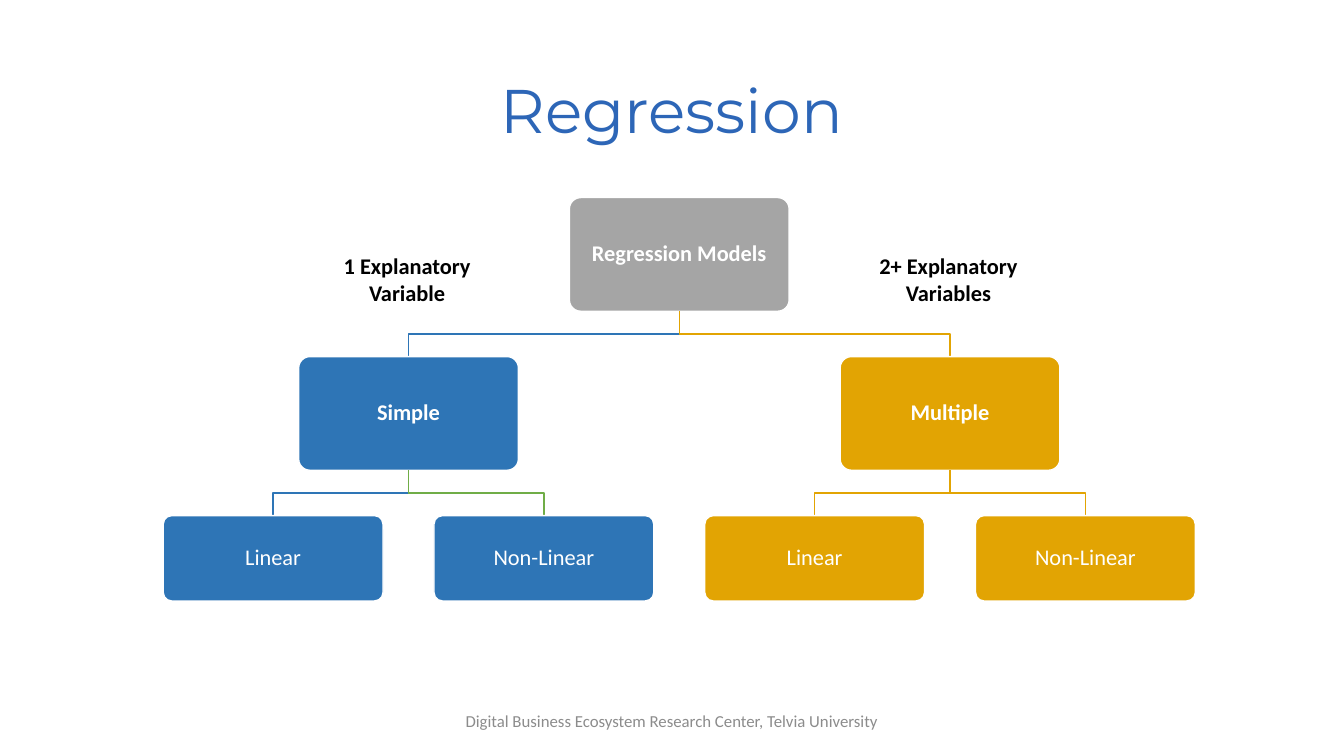
import pptx
import pptx.dml.color
import pptx.enum.shapes
import pptx.enum.text
import pptx.util

Pt = pptx.util.Pt
RGBColor = pptx.dml.color.RGBColor
ANCHOR = pptx.enum.text.MSO_ANCHOR
ALIGN = pptx.enum.text.PP_ALIGN

WHITE = RGBColor(0xFF, 0xFF, 0xFF)
BLACK = RGBColor(0, 0, 0)
GREY = RGBColor(0xA5, 0xA5, 0xA5)
BLUE = RGBColor(0x2E, 0x75, 0xB6)
GOLD = RGBColor(0xE2, 0xA4, 0x03)
GREEN = RGBColor(0x70, 0xAD, 0x47)
TITLE_BLUE = RGBColor(0x2D, 0x66, 0xB7)
FOOTER_GREY = RGBColor(0x8C, 0x8C, 0x8C)

# Tree geometry in points
TREE_CENTER = 485.2
TREE_TOP = 141.1
NODE_WIDTH = 157
BRANCH_HEIGHT = 81.2
LEAF_HEIGHT = 61
LEVEL_GAP = 32.4
LEAF_PITCH = 193.4


def write(frame, lines, size, color, bold=False, font="Calibri", spacing=1.0):
    """Fill a text frame with centred paragraphs, one for each line."""
    frame.text = "\n".join(lines)
    for paragraph in frame.paragraphs:
        paragraph.alignment = ALIGN.CENTER
        paragraph.line_spacing = spacing
        paragraph.font.name = font
        paragraph.font.size = Pt(size)
        paragraph.font.bold = bold
        paragraph.font.color.rgb = color


def add_text(slide, left, top, width, height, lines, size, color,
             anchor=ANCHOR.MIDDLE, wrap=True, **style):
    box = slide.shapes.add_textbox(Pt(left), Pt(top), Pt(width), Pt(height))
    box.text_frame.word_wrap = wrap
    box.text_frame.vertical_anchor = anchor
    write(box.text_frame, lines, size, color, **style)


def add_node(slide, center, top, height, label, color, bold):
    node = slide.shapes.add_shape(
        pptx.enum.shapes.MSO_SHAPE.ROUNDED_RECTANGLE,
        Pt(center - NODE_WIDTH / 2), Pt(top), Pt(NODE_WIDTH), Pt(height))
    node.adjustments[0] = 0.1
    node.shadow.inherit = False
    node.fill.solid()
    node.fill.fore_color.rgb = color
    node.line.color.rgb = WHITE
    node.line.width = Pt(1)
    frame = node.text_frame
    frame.word_wrap = True
    frame.vertical_anchor = ANCHOR.MIDDLE
    frame.margin_left = frame.margin_right = Pt(5)
    frame.margin_top = frame.margin_bottom = Pt(5)
    write(frame, [label], 16, WHITE, bold=bold, spacing=0.9)


def add_elbow(slide, parent_center, child_center, top, color):
    """Draw the bent line from a parent's bottom to a child's top."""
    middle = top + LEVEL_GAP / 2
    builder = slide.shapes.build_freeform(Pt(parent_center), Pt(top))
    builder.add_line_segments(
        [(Pt(parent_center), Pt(middle)),
         (Pt(child_center), Pt(middle)),
         (Pt(child_center), Pt(top + LEVEL_GAP))], close=False)
    elbow = builder.convert_to_shape()
    elbow.shadow.inherit = False
    elbow.fill.background()
    elbow.line.color.rgb = color
    elbow.line.width = Pt(1)


def add_tree(slide, center, top, reach, node):
    """Draw a node, then its two children at plus and minus reach."""
    label, color, children = node
    height = BRANCH_HEIGHT if children else LEAF_HEIGHT
    add_node(slide, center, top, height, label, color, bold=bool(children))
    bottom = top + height
    for side, (line_color, child) in zip((-1, 1), children):
        child_center = center + side * reach
        add_elbow(slide, center, child_center, bottom, line_color)
        add_tree(slide, child_center, bottom + LEVEL_GAP, reach / 2, child)


def main():
    deck = pptx.Presentation()
    deck.slide_width, deck.slide_height = Pt(960), Pt(540)
    slide = deck.slides.add_slide(deck.slide_layouts[6])

    # Title and footer
    add_text(slide, 66, 28.75, 828, 104.4, ["Regression"], 44, TITLE_BLUE,
             font="Montserrat", spacing=0.9)
    add_text(slide, 318, 500.5, 324, 28.75,
             ["Digital Business Ecosystem Research Center, Telvia University"],
             12, FOOTER_GREY)

    # Tree: label, fill, and (line colour, child) pairs
    simple = ("Simple", BLUE, [(BLUE, ("Linear", BLUE, [])),
                               (GREEN, ("Non-Linear", BLUE, []))])
    multiple = ("Multiple", GOLD, [(GOLD, ("Linear", GOLD, [])),
                                   (GOLD, ("Non-Linear", GOLD, []))])
    models = ("Regression Models", GREY, [(BLUE, simple), (GOLD, multiple)])
    add_tree(slide, TREE_CENTER, TREE_TOP, LEAF_PITCH, models)

    # Branch captions
    for left, width, lines in (
            (227.5, 126.7, ["1 Explanatory", "Variable"]),
            (607, 141, ["2+ Explanatory", "Variables"])):
        add_text(slide, left, 176.4, width, 46, lines, 16, BLACK,
                 anchor=ANCHOR.TOP, wrap=False, bold=True)

    deck.save("out.pptx")


if __name__ == "__main__":
    main()
